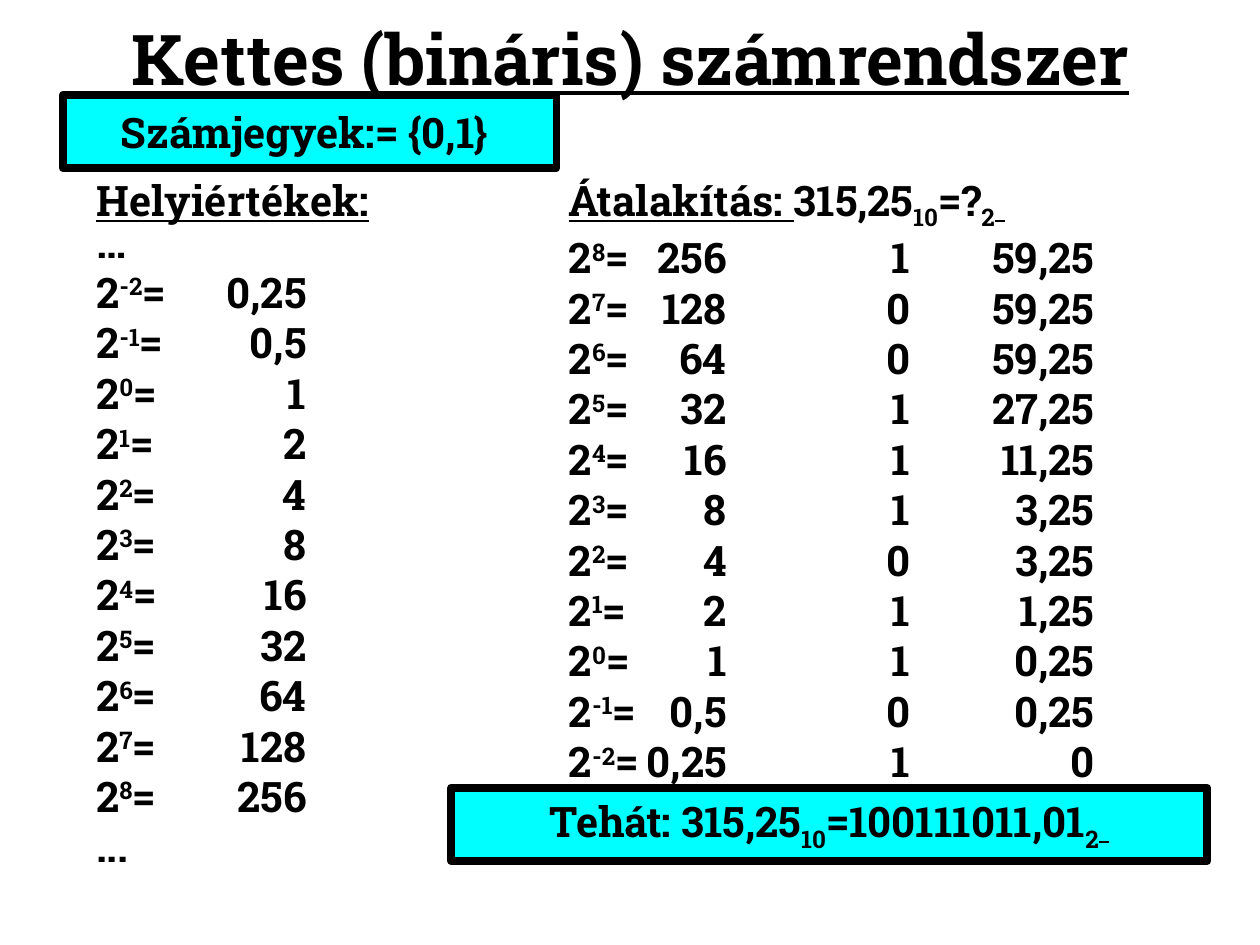
from lxml import etree
from pptx import Presentation
from pptx.dml.color import RGBColor
from pptx.enum.shapes import MSO_SHAPE
from pptx.enum.text import MSO_ANCHOR, MSO_AUTO_SIZE, PP_ALIGN
from pptx.oxml.ns import qn
from pptx.util import Cm, Pt

RECTANGLE = MSO_SHAPE.RECTANGLE
MIDDLE = MSO_ANCHOR.MIDDLE
CENTER = PP_ALIGN.CENTER
NO_AUTOFIT = MSO_AUTO_SIZE.NONE
FIT_SHAPE = MSO_AUTO_SIZE.SHAPE_TO_FIT_TEXT

COLORS = {"text": "000000", "box": "00FFFF", "border": "000000"}
FONT_FORMAT = {"name": "Roboto Slab", "size": Pt(24), "bold": True}
TITLE_LAYOUT = 5
SUPERSCRIPT = {"baseline": 30}
SUBSCRIPT = {"baseline": -25}
UNDERLINED = {"underline": True}

NUMBER = 315.25
LOWEST_POWER, HIGHEST_POWER = -2, 8
PLACE_TABS = [4.24]
CONVERSION_TABS = [3.18, 6.88, 10.59]


def color(name):
    return RGBColor.from_string(COLORS[name])


def decimal_comma(value):
    return f"{value:g}".replace(".", ",")


def add_run(paragraph, text, baseline=0, **formats):
    run = paragraph.add_run()
    run.text = text
    for name, value in {**FONT_FORMAT, **formats}.items():
        setattr(run.font, name, value)
    run.font.color.rgb = color("text")
    if baseline:
        run._r.get_or_add_rPr().set("baseline", str(baseline * 1000))


def set_decimal_tabs(paragraph, positions):
    tab_list = etree.SubElement(paragraph._p.get_or_add_pPr(), qn("a:tabLst"))
    for position in positions:
        etree.SubElement(tab_list, qn("a:tab"), pos=str(Cm(position)), algn="dec")


def fill_text(text_frame, lines, tabs=(), alignment=None):
    """Write one paragraph per line; a line is a list of (text, formats) runs."""
    for index, line in enumerate(lines):
        paragraph = text_frame.add_paragraph() if index else text_frame.paragraphs[0]
        paragraph.alignment = alignment
        if tabs:
            set_decimal_tabs(paragraph, tabs)
        for text, formats in line:
            add_run(paragraph, text, **formats)


def add_title(slide, text):
    title = slide.shapes.title
    title.left, title.top, title.width, title.height = Cm(0.85), Cm(0), Cm(23.7), Cm(2.33)
    title.text_frame.vertical_anchor = MIDDLE
    title.text_frame.auto_size = NO_AUTOFIT
    fill_text(title.text_frame, [[(text, {"size": Pt(40), **UNDERLINED})]], alignment=CENTER)


def add_text(slide, position, lines, tabs=()):
    text_box = slide.shapes.add_textbox(*map(Cm, position))
    text_box.text_frame.word_wrap = True
    text_box.text_frame.auto_size = FIT_SHAPE
    fill_text(text_box.text_frame, lines, tabs)


def add_box(slide, position, line):
    box = slide.shapes.add_shape(RECTANGLE, *map(Cm, position))
    box.shadow.inherit = False
    box.fill.solid()
    box.fill.fore_color.rgb = color("box")
    box.line.color.rgb = color("border")
    box.line.width = Pt(4.5)
    box.text_frame.word_wrap = False
    box.text_frame.vertical_anchor = MIDDLE
    fill_text(box.text_frame, [line], alignment=CENTER)


def power_line(power, *columns):
    values = "\t".join(decimal_comma(value) for value in (2 ** power, *columns))
    return [("2", {}), (str(power), SUPERSCRIPT), (f"=\t{values}", {})]


def place_value_lines():
    powers = range(LOWEST_POWER, HIGHEST_POWER + 1)
    return [[("…", {})], *map(power_line, powers), [("...", {})]]


def equation(number, result):
    """Runs for a decimal number and its binary form, each with its base."""
    return [(number, {}), ("10", SUBSCRIPT), (f"={result}", {}), ("2", SUBSCRIPT),
            (" ", UNDERLINED)]


def conversion_lines():
    lines = [[("Átalakítás: ", UNDERLINED), *equation(decimal_comma(NUMBER), "?")]]
    remainder = NUMBER
    for power in range(HIGHEST_POWER, LOWEST_POWER - 1, -1):
        digit = int(remainder >= 2 ** power)
        remainder -= digit * 2 ** power
        lines.append(power_line(power, digit, remainder))
    return lines


def main():
    presentation = Presentation()
    presentation.slide_width, presentation.slide_height = Cm(25.4), Cm(19.05)
    slide = presentation.slides.add_slide(presentation.slide_layouts[TITLE_LAYOUT])

    add_title(slide, "Kettes (bináris) számrendszer")
    add_text(slide, (1.69, 4.23, 6.77, 13.46), place_value_lines(), PLACE_TABS)
    add_box(slide, (1.27, 1.91, 9.95, 1.48), [("Számjegyek:= {0,1} ", {})])
    add_text(slide, (11.22, 3.39, 13.34, 12.6), conversion_lines(), CONVERSION_TABS)
    add_box(slide, (9.1, 15.88, 15.24, 1.48),
            equation(f"Tehát: {decimal_comma(NUMBER)}", "100111011,01"))
    add_text(slide, (1.69, 3.39, 6.77, 1.27), [[("Helyiértékek:", UNDERLINED)]])

    presentation.save("out.pptx")


if __name__ == "__main__":
    main()
